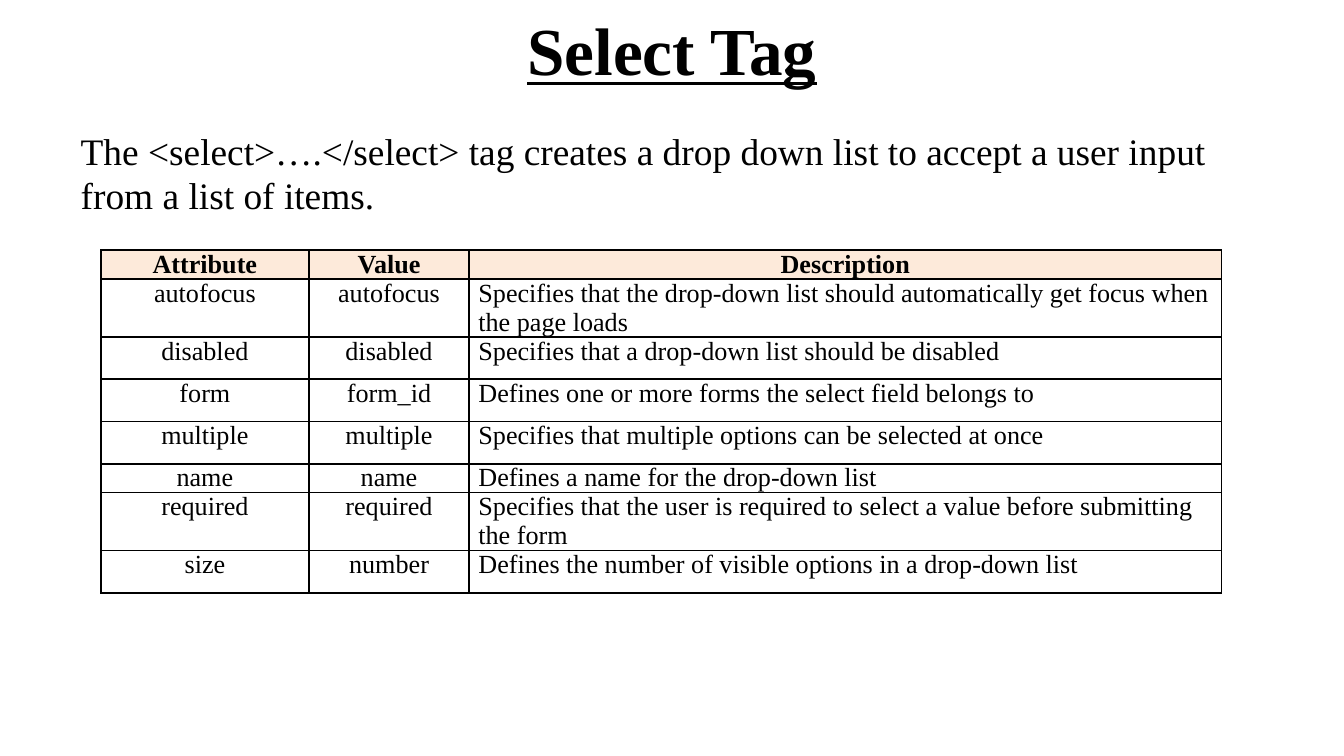
"""Build the Select Tag slide with its table of attributes."""
from lxml.etree import SubElement as Sub
from pptx import Presentation as Deck
from pptx.dml.color import RGBColor as Rgb
from pptx.enum.text import MSO_ANCHOR as Anchor, MSO_AUTO_SIZE as Fit, PP_ALIGN as Align
from pptx.oxml.ns import qn
from pptx.util import Inches, Pt

HUES = {"ink": "000000", "head": "FDEADA"}
FONT = "Times New Roman"
LINE = Inches(0.21)
ROWS = [
    (1, "Attribute", "Value", "Description"),
    (2, "autofocus", "autofocus",
     "Specifies that the drop-down list should automatically get focus when the page loads"),
    (1.5, "disabled", "disabled", "Specifies that a drop-down list should be disabled"),
    (1.5, "form", "form_id", "Defines one or more forms the select field belongs to"),
    (1.5, "multiple", "multiple", "Specifies that multiple options can be selected at once"),
    (1, "name", "name", "Defines a name for the drop-down list"),
    (2, "required", "required",
     "Specifies that the user is required to select a value before submitting the form"),
    (1.5, "size", "number", "Defines the number of visible options in a drop-down list"),
]


def write(frame, text, size, bold=False, align=Align.LEFT):
    para = frame.paragraphs[0]
    para.alignment = align
    run = para.add_run()
    run.text = text
    run.font.name = FONT
    run.font.size = Pt(size)
    run.font.bold = bold
    run.font.color.rgb = Rgb.from_string(HUES["ink"])
    return para, run


def edge(cell):
    props = cell._tc.get_or_add_tcPr()
    for spot, side in enumerate(("lnL", "lnR", "lnT", "lnB")):
        line = props.makeelement(qn(f"a:{side}"), {"w": str(Pt(1))})
        props.insert(spot, line)
        fill = Sub(line, qn("a:solidFill"))
        Sub(fill, qn("a:srgbClr"), val=HUES["ink"])


deck = Deck()
wide = Inches(10)
deck.slide_width, deck.slide_height = wide, wide * 9 // 16
slide = deck.slides.add_slide(deck.slide_layouts[1])
title, body = slide.placeholders

for box, top, high in ((title, -0.02, 0.77), (body, 0.9, 0.92)):
    box.left, box.width = int(wide * 0.05), int(wide * 0.9)
    box.top, box.height = Inches(top), Inches(high)
    box.text_frame.auto_size = Fit.NONE

title.text_frame.vertical_anchor = Anchor.MIDDLE
para, run = write(title.text_frame, "Select Tag", 36, True, Align.CENTER)
run.font.underline = True

para, run = write(
    body.text_frame,
    "The <select>….</select> tag creates a drop down list "
    "to accept a user input from a list of items.", 20)
props = para._p.get_or_add_pPr()
props.set("marL", "0")
props.set("indent", "0")
Sub(props, qn("a:buNone"))

high = int(LINE * sum(row[0] for row in ROWS))
table = slide.shapes.add_table(
    len(ROWS), 3, int(wide * 0.075), Inches(1.86), int(wide * 0.834), high).table
table.horz_banding = False
for col, share in zip(table.columns, (0.155, 0.119, 0.56)):
    col.width = int(wide * share)

for r, (lines, *texts) in enumerate(ROWS):
    table.rows[r].height = int(LINE * lines)
    for c, text in enumerate(texts):
        cell = table.cell(r, c)
        cell.margin_left = cell.margin_right = Inches(0.07)
        cell.margin_top = cell.margin_bottom = 0
        if r == 0:
            cell.fill.solid()
            cell.fill.fore_color.rgb = Rgb.from_string(HUES["head"])
        else:
            cell.fill.background()
        edge(cell)
        align = Align.CENTER if r == 0 or c < 2 else Align.LEFT
        write(cell.text_frame, text, 14, r == 0, align)

deck.save("out.pptx")
